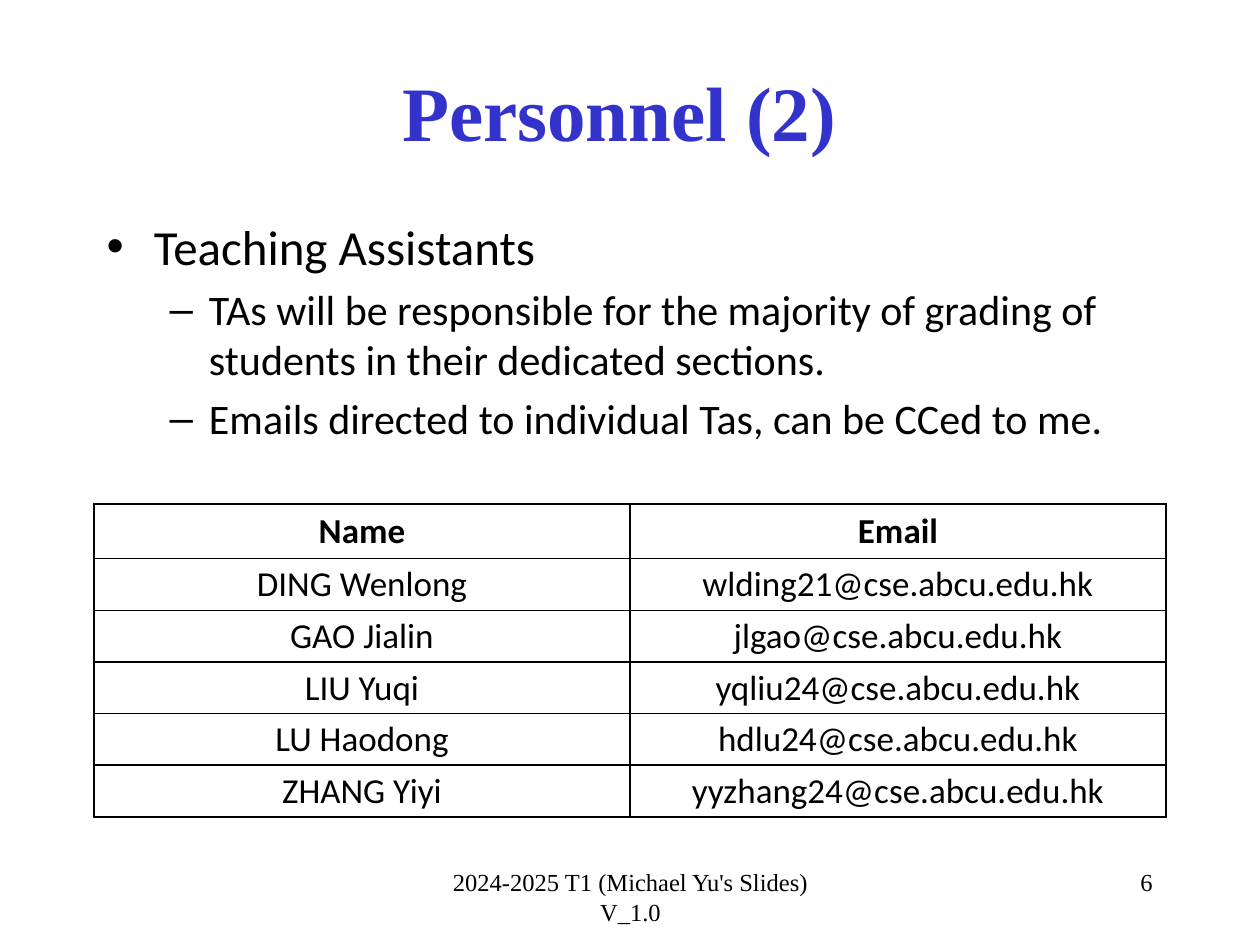
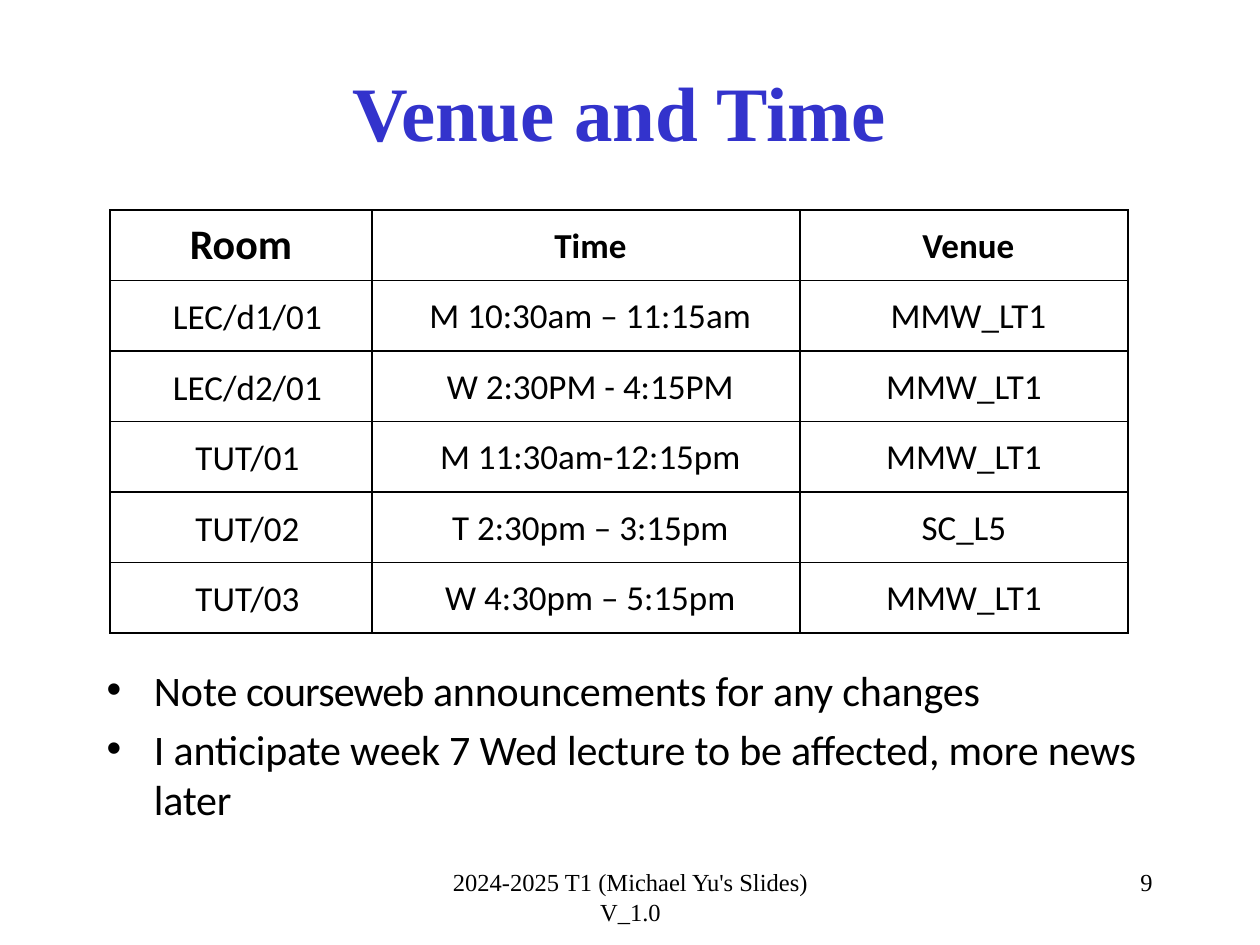
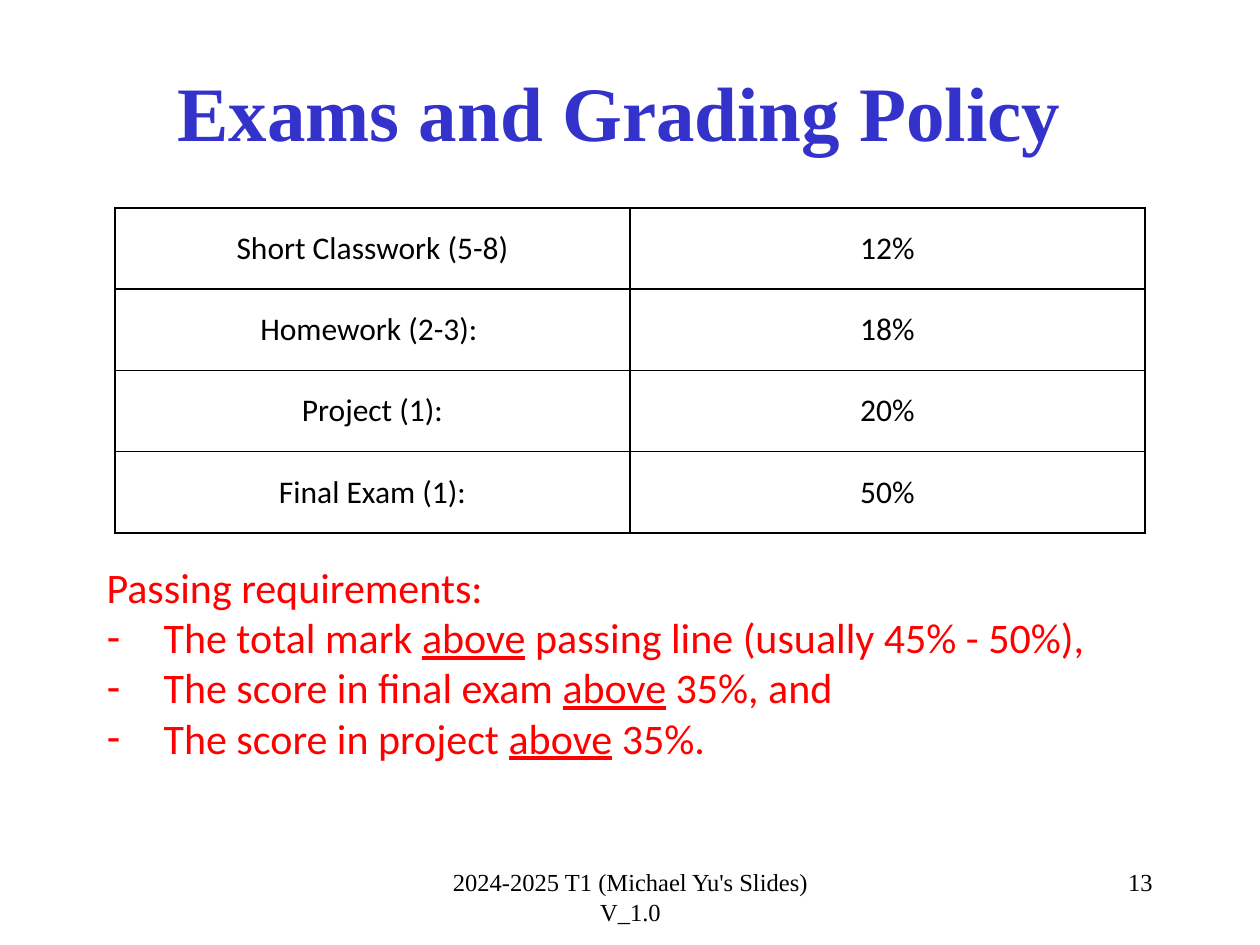
from lxml.etree import SubElement as Sub
from pptx import Presentation
from pptx.dml.color import RGBColor
from pptx.enum.text import MSO_ANCHOR as Anchor, MSO_AUTO_SIZE as Auto, PP_ALIGN as Align
from pptx.oxml import parse_xml
from pptx.oxml.ns import nsdecls, qn
from pptx.util import Pt

SCALE = 914400 / 126
BLUE = RGBColor(0x33, 0x33, 0xCC)
BLACK = RGBColor(0, 0, 0)
RED = RGBColor(0xFF, 0, 0)
SANS = "Calibri"
SERIF = "Times New Roman"
FOOTER = "2024-2025 T1 (Michael Yu's Slides) V_1.0"
MAIL = "@cse.abcu.edu.hk"
BODY = (94, 210, 1071, 630)


def px(num):
    return round(num * SCALE)


def place(shape, box):
    shape.left, shape.top, shape.width, shape.height = map(px, box)


def write(para, text, size=24, font=SANS, color=BLACK, bold=None,
          under=None, track=None, align=None):
    run = para.add_run()
    run.text = text
    face = run.font
    face.size = Pt(size)
    face.name = font
    face.color.rgb = color
    face.bold = bold
    face.underline = under
    if track is not None:
        run._r.get_or_add_rPr().set("spc", str(track))
    if align is not None:
        para.alignment = align


def label(slide, text, box, align):
    shape = slide.shapes.add_textbox(*map(px, box))
    shape.text_frame.word_wrap = True
    write(shape.text_frame.paragraphs[0], text, size=14, font=SERIF, align=align)


def start(deck, title, num, box=BODY):
    slide = deck.slides.add_slide(deck.slide_layouts[1])
    head = slide.shapes.title
    place(head, (84, 32, 1071, 157))
    head.text_frame.auto_size = Auto.NONE
    write(head.text_frame.paragraphs[0], title, size=44, font=SERIF,
          color=BLUE, bold=True, align=Align.CENTER)
    body = slide.placeholders[1]
    place(body, box)
    body.text_frame.auto_size = Auto.NONE
    label(slide, FOOTER, (431, 861, 399, 63), Align.CENTER)
    label(slide, num, (903, 861, 262, 63), Align.RIGHT)
    return slide, body.text_frame


def items(frame, rows):
    for pos, (level, parts) in enumerate(rows):
        para = frame.paragraphs[0] if pos == 0 else frame.add_paragraph()
        para.level = level
        for text, style in parts:
            write(para, text, **style)


def bullet(para, mark, indent):
    para.space_before = Pt(0)
    props = para._p.get_or_add_pPr()
    props.set("marL", str(px(indent)))
    props.set("indent", str(-px(indent)))
    if mark:
        Sub(props, qn("a:buChar")).set("char", mark)
    else:
        Sub(props, qn("a:buNone"))


def inset(cell, left, top, right=0, bottom=0):
    cell.margin_left, cell.margin_top = px(left), px(top)
    cell.margin_right, cell.margin_bottom = px(right), px(bottom)


def border(cell):
    props = cell._tc.get_or_add_tcPr()
    for pos, side in enumerate("LRTB"):
        props.insert(pos, parse_xml(
            f'<a:ln{side} {nsdecls("a")} w="12700"><a:solidFill>'
            f'<a:srgbClr val="{BLACK}"/></a:solidFill></a:ln{side}>'))


def grid(slide, left, top, widths, high, rows, size=20, head=False, pads=None):
    shape = slide.shapes.add_table(len(rows), len(widths), px(left), px(top),
                                   px(sum(widths)), px(high))
    table = shape.table
    table.first_row = head
    table.horz_banding = False
    for col, width in zip(table.columns, widths):
        col.width = px(width)
    for y, row in enumerate(rows):
        top_row = head and y == 0
        for x, text in enumerate(row):
            cell = table.cell(y, x)
            cell.fill.background()
            border(cell)
            cell.vertical_anchor = Anchor.MIDDLE
            if pads and not top_row:
                inset(cell, *pads[x])
            big = 24 if text == "Room" else size
            write(cell.text_frame.paragraphs[0], text, size=big,
                  bold=top_row, align=Align.CENTER)
    return table


def staff(deck):
    slide, frame = start(deck, "Personnel (2)", "6")
    items(frame, [
        (0, [("Teaching Assistants", {"size": 28})]),
        (1, [("TAs will be responsible for the majority of grading of "
              "students in their dedicated sections.", {})]),
        (1, [("Emails directed to individual Tas, can be CCed to me.", {})]),
    ])
    people = [("DING Wenlong", "wlding21"), ("GAO Jialin", "jlgao"),
              ("LIU Yuqi", "yqliu24"), ("LU Haodong", "hdlu24"),
              ("ZHANG Yiyi", "yyzhang24")]
    rows = [("Name", "Email")] + [(name, user + MAIL) for name, user in people]
    grid(slide, 94, 504, (536, 536), 310, rows, head=True,
         pads=[(1, 1, 1, 0)] * 2)


def venue(deck):
    slide, frame = start(deck, "Venue and Time", "9", (94, 658, 1071, 181))
    items(frame, [
        (0, [("Note", {}), (" courseweb ", {"track": -50}),
             ("announcements for any changes", {"track": -10})]),
        (0, [("I anticipate week 7 Wed lecture to be affected, more news later",
              {"track": -10})]),
    ])
    table = grid(slide, 110, 210, (262, 428, 328), 423, [
        ("Room", "Time", "Venue"),
        ("LEC/d1/01", "M 10:30am – 11:15am", "MMW_LT1"),
        ("LEC/d2/01", "W 2:30PM - 4:15PM", "MMW_LT1"),
        ("TUT/01", "M 11:30am-12:15pm", "MMW_LT1"),
        ("TUT/02", "T 2:30pm – 3:15pm", "SC_L5"),
        ("TUT/03", "W 4:30pm – 5:15pm", "MMW_LT1"),
    ], head=True, pads=[(13, 4), (9, 2), (0, 2)])
    for y, x in ((0, 1), (0, 2), (1, 2)):
        inset(table.cell(y, x), 9, 2)


def marks(deck):
    slide, frame = start(deck, "Exams and Grading Policy", "13")
    frame.margin_top = px(351)
    red = {"color": RED}
    above = ("above", {"color": RED, "under": True})
    items(frame, [
        (0, [("Passing requirements:", red)]),
        (0, [("The total mark ", red), above,
             (" passing line (usually 45% - 50%),", red)]),
        (0, [("The score in final exam ", red), above, (" 35%, and", red)]),
        (0, [("The score in project ", red), above, (" 35%.", red)]),
    ])
    lead, *rest = frame.paragraphs
    bullet(lead, None, 47)
    for para in rest:
        bullet(para, "-", 57)
    grid(slide, 115, 208, (515, 515), 325, [
        ("Short Classwork (5-8)", "12%"),
        ("Homework (2-3): ", "18%"),
        ("Project (1):", "20%"),
        ("Final Exam (1):", "50%"),
    ], size=18)


def main():
    deck = Presentation()
    deck.slide_width, deck.slide_height = px(1260), px(945)
    for build in (staff, venue, marks):
        build(deck)
    deck.save("out.pptx")


if __name__ == "__main__":
    main()
